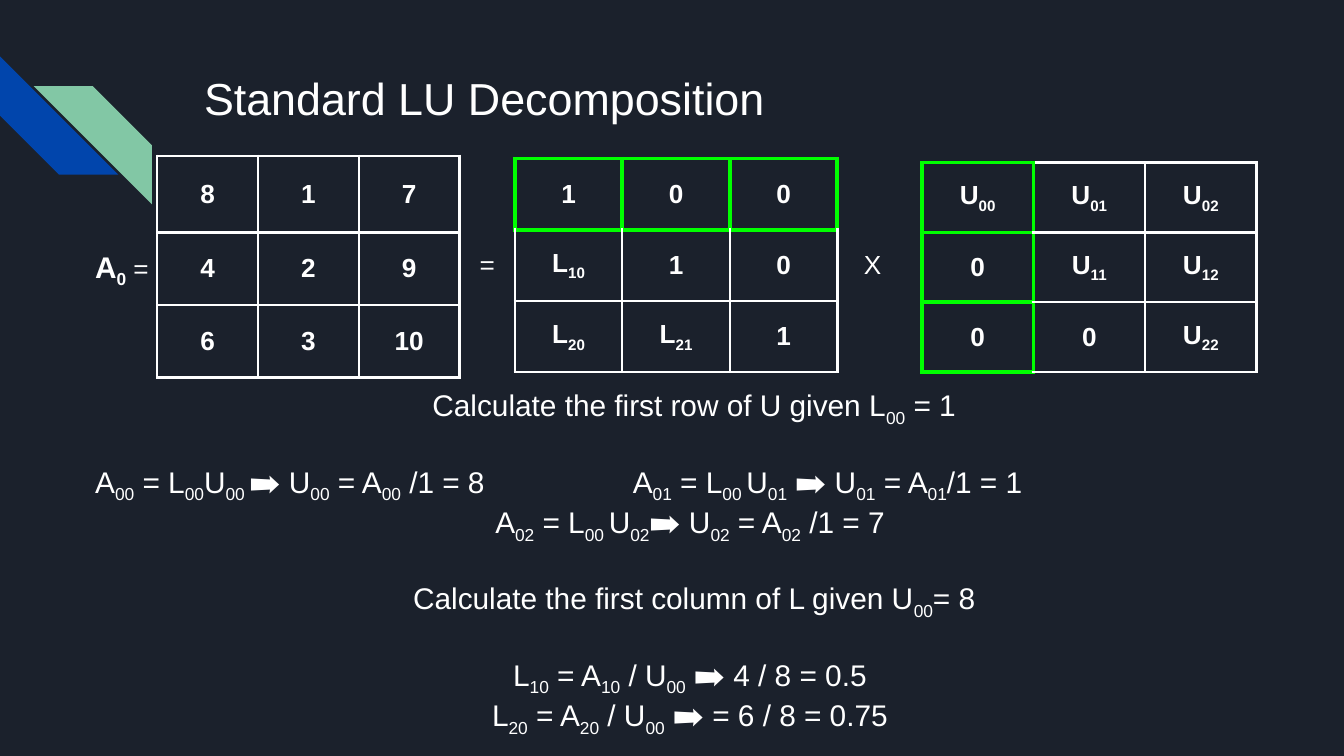
"""Build a slide on the first steps of a standard LU decomposition."""
from lxml import etree
from pptx import Presentation
from pptx.dml.color import RGBColor
from pptx.enum.shapes import MSO_SHAPE
from pptx.enum.text import MSO_ANCHOR, PP_ALIGN
from pptx.oxml.ns import qn
from pptx.util import Inches, Pt

CENTER, LEFT = PP_ALIGN.CENTER, PP_ALIGN.LEFT
MIDDLE, TOP = MSO_ANCHOR.MIDDLE, MSO_ANCHOR.TOP
STRIPE = MSO_SHAPE.DIAGONAL_STRIPE

FONT = "Arial"
COLORS = {"background": "1B212C", "text": "FFFFFF", "highlight": "00FF00",
          "blue": "0145AC", "mint": "82C7A5"}
WIDTH = Inches(10)
HEIGHT = WIDTH * 9 // 16
INSET = 0.1
STRIPE_SIZE = 0.88
BLANK_LINE = 19
TAB_STOP = 4

STRIPES = [(0, 0.42, 270, "blue"), (0.25, 0.64, 90, "mint")]

MATRICES = [
    {"at": (1.17, 1.16), "column": 0.75, "rows": (0.57, 0.54, 0.54),
     "cells": [["8", "1", "7"], ["4", "2", "9"], ["6", "3", "10"]],
     "highlighted": set()},
    {"at": (3.83, 1.18), "column": 0.8, "rows": (0.53, 0.53, 0.53),
     "cells": [["1", "0", "0"], ["L_10", "1", "0"], ["L_20", "L_21", "1"]],
     "highlighted": {(0, column) for column in range(3)}},
    {"at": (6.86, 1.21), "column": 0.83, "rows": (0.52, 0.52, 0.52),
     "cells": [["U_00", "U_01", "U_02"], ["0", "U_11", "U_12"], ["0", "0", "U_22"]],
     "highlighted": {(row, 0) for row in range(3)}},
]

OPERATORS = [(3.47, "="), (6.33, "X")]

STEPS = [
    ("Calculate the first row of U given L_00_ = 1", CENTER, 0),
    ("A_00_ = L_00_U_00 _➡ U_00_ = A_00_ /1 = 8\tA_01_ = L_00 _U_01_ ➡ U_01_ = A_01_/1 = 1",
     LEFT, BLANK_LINE),
    ("A_02_ = L_00 _U_02_➡ U_02_ = A_02_ /1 = 7 ", CENTER, 0),
    ("Calculate the first column of L given U_00_= 8", CENTER, BLANK_LINE),
    ("L_10_ = A_10_ / U_00_ ➡ 4 / 8 = 0.5 ", CENTER, BLANK_LINE),
    ("L_20_ = A_20_ / U_00_ ➡ = 6 / 8 = 0.75 ", CENTER, 0),
]


def rgb(name):
    return RGBColor.from_string(COLORS[name])


def set_font(font, size, bold=False):
    font.name, font.size, font.bold = FONT, Pt(size), bold
    font.color.rgb = rgb("text")


def write(paragraph, text, size, bold=False, alignment=LEFT):
    """Fill a paragraph; every second part between underscores is a subscript."""
    paragraph.alignment = alignment
    set_font(paragraph.font, size, bold)
    for index, part in enumerate(text.split("_")):
        run = paragraph.add_run()
        run.text = part
        if index % 2:
            run._r.get_or_add_rPr().set("baseline", "-25000")


def add_text_frame(slide, left, top, width, height):
    frame = slide.shapes.add_textbox(*map(Inches, (left, top, width, height))).text_frame
    frame.word_wrap = True
    frame.vertical_anchor = TOP
    frame.margin_left = frame.margin_right = Inches(INSET)
    frame.margin_top = frame.margin_bottom = Inches(INSET)
    return frame


def set_borders(cell, row, column, highlighted):
    """Draw an edge in the highlight colour where either neighbour is highlighted."""
    neighbours = {"lnL": (row, column - 1), "lnR": (row, column + 1),
                  "lnT": (row - 1, column), "lnB": (row + 1, column)}
    properties = cell._tc.get_or_add_tcPr()
    for index, (tag, neighbour) in enumerate(neighbours.items()):
        marked = bool({(row, column), neighbour} & highlighted)
        line = etree.Element(qn(f"a:{tag}"), w=str(Pt(2.25 if marked else 1.5)))
        fill = etree.SubElement(line, qn("a:solidFill"))
        etree.SubElement(fill, qn("a:srgbClr"), val=COLORS["highlight" if marked else "text"])
        properties.insert(index, line)


def add_matrix(slide, matrix):
    cells, rows = matrix["cells"], matrix["rows"]
    count = len(cells[0])
    left, top = matrix["at"]
    size = (left, top, count * matrix["column"], sum(rows))
    table = slide.shapes.add_table(len(rows), count, *map(Inches, size)).table
    table.first_row = table.horz_banding = False
    for column in table.columns:
        column.width = Inches(matrix["column"])
    for row, values in enumerate(cells):
        table.rows[row].height = Inches(rows[row])
        for column, value in enumerate(values):
            cell = table.cell(row, column)
            cell.fill.background()
            cell.vertical_anchor = MIDDLE
            cell.margin_left = cell.margin_right = Inches(INSET)
            cell.margin_top = cell.margin_bottom = Inches(INSET)
            write(cell.text_frame.paragraphs[0], value, 14, True, CENTER)
            set_borders(cell, row, column, matrix["highlighted"])


def add_steps(slide):
    frame = add_text_frame(slide, 0.61, 2.78, 9.11, 2.8)
    for index, (text, alignment, gap) in enumerate(STEPS):
        paragraph = frame.add_paragraph() if index else frame.paragraphs[0]
        write(paragraph, text, 16, alignment=alignment)
        paragraph.space_before = Pt(gap)
        if "\t" in text:
            tabs = etree.Element(qn("a:tabLst"))
            etree.SubElement(tabs, qn("a:tab"), pos=str(Inches(TAB_STOP)), algn="l")
            paragraph._p.pPr.find(qn("a:defRPr")).addprevious(tabs)


def main():
    presentation = Presentation()
    presentation.slide_width, presentation.slide_height = WIDTH, HEIGHT
    slide = presentation.slides.add_slide(presentation.slide_layouts[6])
    slide.background.fill.solid()
    slide.background.fill.fore_color.rgb = rgb("background")

    for left, top, rotation, color in STRIPES:
        stripe = slide.shapes.add_shape(
            STRIPE, *map(Inches, (left, top, STRIPE_SIZE, STRIPE_SIZE)))
        stripe.rotation = rotation
        stripe.shadow.inherit = False
        stripe.fill.solid()
        stripe.fill.fore_color.rgb = rgb(color)
        stripe.line.fill.background()

    title = add_text_frame(slide, 1.42, 0.43, 7.7, 1)
    write(title.paragraphs[0], "Standard LU Decomposition", 24)
    add_steps(slide)
    for matrix in MATRICES:
        add_matrix(slide, matrix)

    label = add_text_frame(slide, 0.61, 1.75, 0.6, 0.83).paragraphs[0]
    write(label, "A_0_ =", 16, True)
    set_font(label.runs[-1].font, 14)
    for left, sign in OPERATORS:
        write(add_text_frame(slide, left, 1.75, 0.4, 0.83).paragraphs[0], sign, 14)

    presentation.save("out.pptx")


if __name__ == "__main__":
    main()
